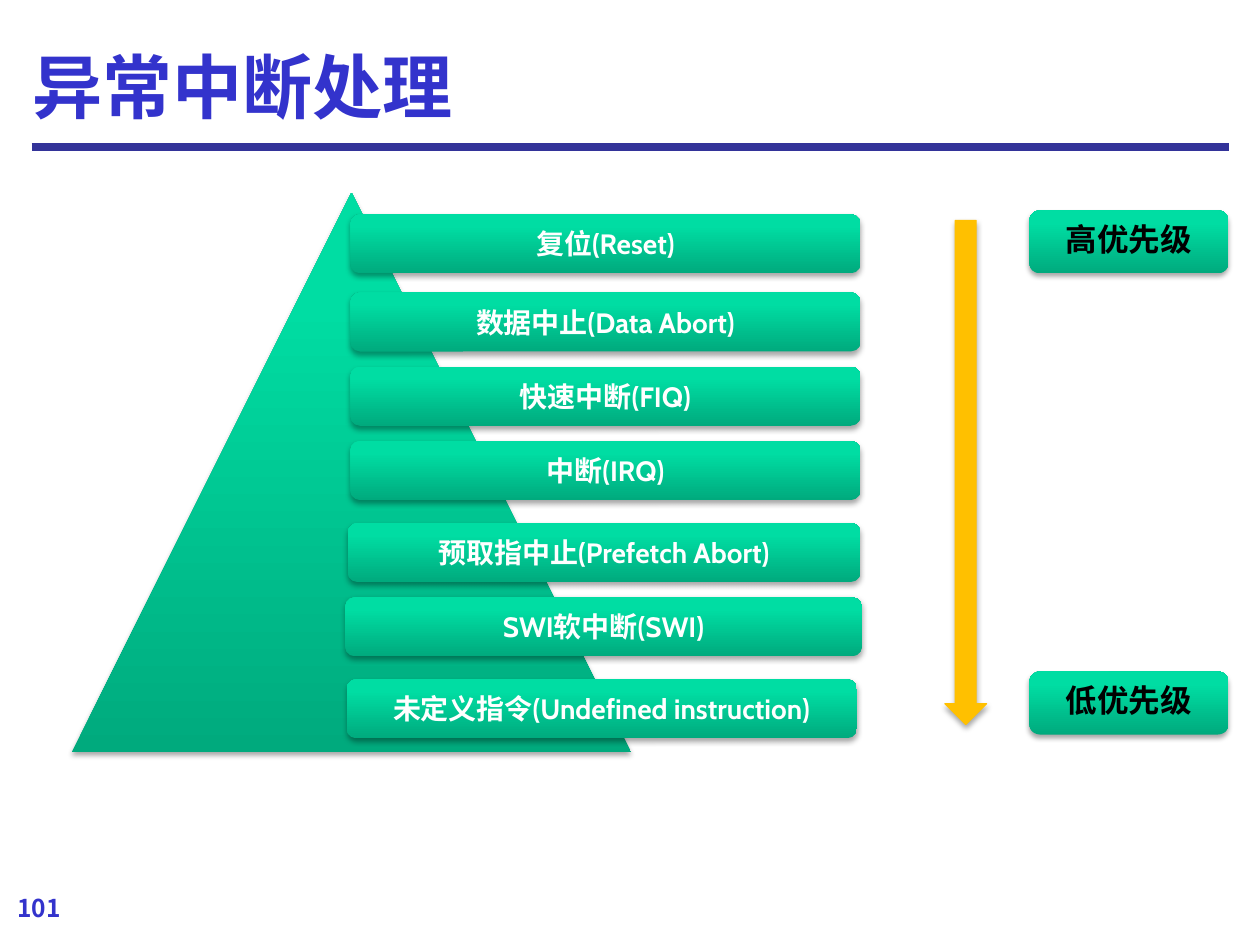
from copy import deepcopy

from lxml.etree import SubElement
from pptx import Presentation
from pptx.dml.color import RGBColor
from pptx.enum.shapes import MSO_CONNECTOR, MSO_SHAPE
from pptx.enum.text import MSO_ANCHOR, PP_ALIGN
from pptx.oxml.ns import qn
from pptx.util import Inches, Pt

rgb = RGBColor.from_string


def write(shape, text, font, size, color, align, anchor):
    frame = shape.text_frame
    frame.word_wrap = True
    frame.vertical_anchor = anchor
    paragraph = frame.paragraphs[0]
    paragraph.text = text
    paragraph.alignment = align
    run = paragraph.runs[0]
    run.font.name = font
    run.font.size = Pt(size)
    run.font.bold = True
    run.font.color.rgb = rgb(color)
    SubElement(run.font._element, qn("a:ea"), typeface="Noto Sans CJK SC")


def add_shadow(shape):
    shape.shadow.inherit = False
    effects = shape._element.spPr.find(qn("a:effectLst"))
    shadow = SubElement(effects, qn("a:outerShdw"), blurRad=str(Pt(3.1)),
                        dist=str(Pt(1.8)), dir="5400000", rotWithShape="0")
    black = SubElement(shadow, qn("a:srgbClr"), val="000000")
    SubElement(black, qn("a:alpha"), val="35000")


prs = Presentation()
prs.slide_width, prs.slide_height = Inches(10), Inches(7.5)
slide = prs.slides.add_slide(prs.slide_layouts[5])

# Title, rule and page number
title = slide.shapes.title
title.left, title.top = Inches(0.16), Inches(0.23)
title.width, title.height = Inches(8.52), Inches(0.83)
write(title, "异常中断处理", "Noto Sans CJK SC", 40, "3333CC", PP_ALIGN.LEFT, MSO_ANCHOR.BOTTOM)

rule = slide.shapes.add_connector(
    MSO_CONNECTOR.STRAIGHT, Inches(0.25), Inches(1.17), Inches(9.75), Inches(1.17))
rule.line.color.rgb = rgb("333399")
rule.line.width = Pt(4.5)
SubElement(rule._element.spPr, qn("a:effectLst"))

page_number = slide.shapes.add_textbox(Inches(0), Inches(6.95), Inches(0.58), Inches(0.42))
write(page_number, "101", "Noto Sans CJK JP", 14, "3333CC", PP_ALIGN.RIGHT, MSO_ANCHOR.BOTTOM)

# Priority pyramid: (exception, left, top, width)
exceptions = [
    ("复位(Reset)", 2.78, 1.7, 4.05),
    ("数据中止(Data Abort)", 2.78, 2.32, 4.05),
    ("快速中断(FIQ)", 2.78, 2.91, 4.05),
    ("中断(IRQ)", 2.78, 3.5, 4.05),
    ("预取指中止(Prefetch Abort)", 2.76, 4.15, 4.07),
    ("SWI软中断(SWI)", 2.74, 4.74, 4.1),
    ("未定义指令(Undefined instruction)", 2.75, 5.39, 4.05),
]
pyramid = slide.shapes.add_group_shape().shapes
green_shapes = [pyramid.add_shape(
    MSO_SHAPE.ISOSCELES_TRIANGLE, Inches(0.57), Inches(1.53), Inches(4.44), Inches(4.44))]
for text, left, top, width in exceptions:
    bar = pyramid.add_shape(
        MSO_SHAPE.ROUNDED_RECTANGLE, Inches(left), Inches(top), Inches(width), Inches(0.47))
    write(bar, text, "Cabin", 16, "FFFFFF", PP_ALIGN.CENTER, MSO_ANCHOR.MIDDLE)
    green_shapes.append(bar)

# Priority scale
for text, top in [("高优先级", 1.67), ("低优先级", 5.33)]:
    level = slide.shapes.add_shape(
        MSO_SHAPE.ROUNDED_RECTANGLE, Inches(8.17), Inches(top), Inches(1.58), Inches(0.5))
    write(level, text, "Arial", 18, "000000", PP_ALIGN.CENTER, MSO_ANCHOR.TOP)
    green_shapes.append(level)

arrow = slide.shapes.add_shape(
    MSO_SHAPE.DOWN_ARROW, Inches(7.5), Inches(1.75), Inches(0.33), Inches(4))
arrow.fill.solid()
arrow.fill.fore_color.rgb = rgb("FFC000")
arrow.line.color.rgb = rgb("FFC000")
arrow.line.width = Pt(0.75)
add_shadow(arrow)

# Shared green finish
for shape in green_shapes:
    shape.fill.gradient()
    shape.fill.gradient_angle = 90
    stop_list = shape._element.spPr.find(qn("a:gradFill")).find(qn("a:gsLst"))
    stop_list.append(deepcopy(stop_list[-1]))
    stops = [(0, "00AA7D"), (0.8, "00DDA3"), (1, "00DEA4")]
    for stop, (position, color) in zip(shape.fill.gradient_stops, stops):
        stop.position = position
        stop.color.rgb = rgb(color)
    shape.line.fill.background()
    add_shadow(shape)

prs.save("out.pptx")
